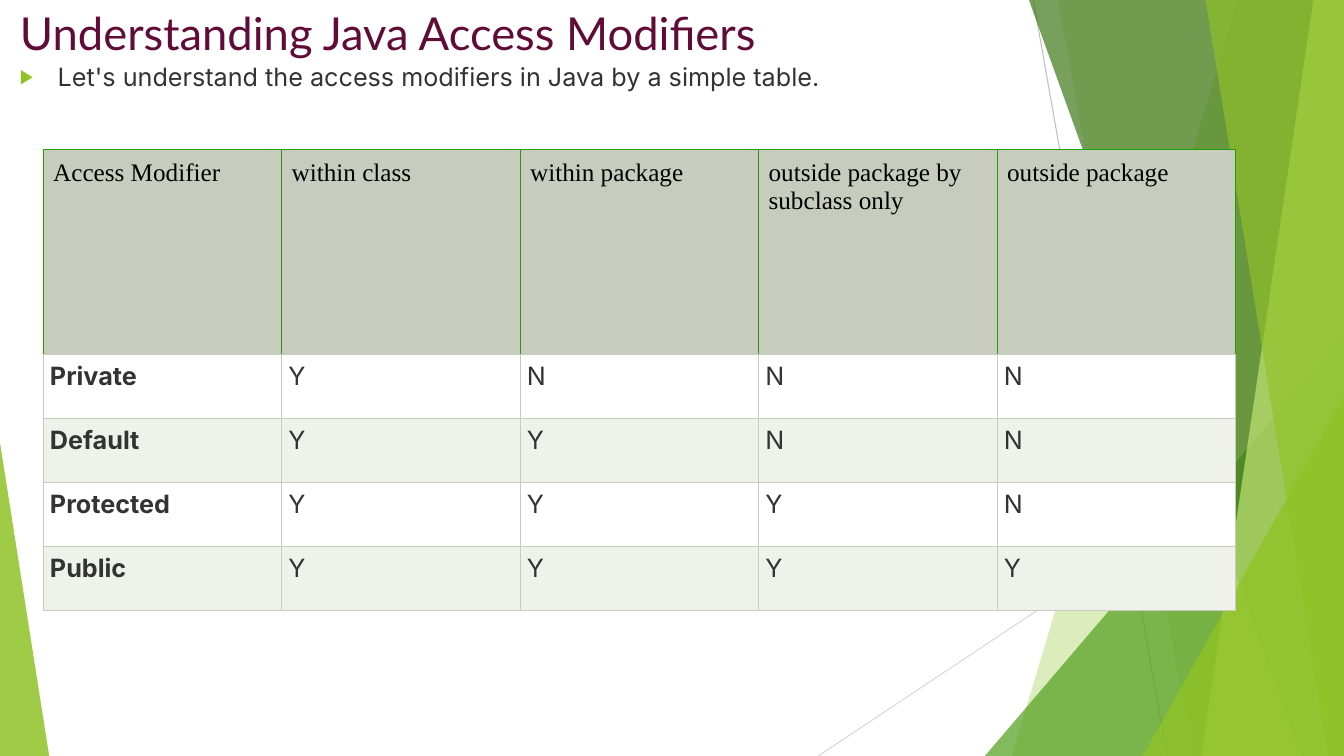
from lxml.etree import SubElement
from pptx import Presentation
from pptx.dml.color import RGBColor
from pptx.enum.shapes import MSO_CONNECTOR as Connector, MSO_SHAPE as Shape
from pptx.enum.text import MSO_ANCHOR as Anchor, MSO_AUTO_SIZE as AutoSize, PP_ALIGN as Align
from pptx.oxml.ns import qn
from pptx.util import Cm, Pt

WIDTH, HEIGHT = 33.87, 19.05
LIME, INK, SAGE, GREEN = "90C226", "333333", "C7CCBE", "20A103"
HEADINGS = ["Access Modifier", "within class", "within package",
            "outside package by subclass only", "outside package"]
MODIFIERS = [("Private", "YNNN"), ("Default", "YYNN"),
             ("Protected", "YYYN"), ("Public", "YYYY")]


def color(value):
    return RGBColor.from_string(value)


def set_font(para, name, size, value, bold=False):
    para.font.name, para.font.size, para.font.bold = name, Pt(size), bold
    para.font.color.rgb = color(value)


def paint(shape, value, opacity):
    """Fill a shape without outline; opacity is in percent."""
    shape.shadow.inherit = False
    shape.line.fill.background()
    shape.fill.solid()
    shape.fill.fore_color.rgb = color(value)
    tint = shape.element.spPr.find(qn("a:solidFill"))[0]
    SubElement(tint, qn("a:alpha"), val=str(opacity * 1000))


def add_hairline(slide, start, end, value):
    line = slide.shapes.add_connector(Connector.STRAIGHT, *map(Cm, start + end))
    line.line.color.rgb = color(value)
    line.line.width = Pt(0.75)
    SubElement(line.element.spPr, qn("a:effectLst"))


def add_facet(slide, top, bottom, value, opacity):
    """Fill from a slanted left edge to the right side of the slide."""
    outline = slide.shapes.build_freeform(Cm(top), 0)
    corners = [(WIDTH, 0), (WIDTH, HEIGHT), (bottom, HEIGHT)]
    outline.add_line_segments([(Cm(x), Cm(y)) for x, y in corners], close=True)
    paint(outline.convert_to_shape(), value, opacity)


def add_triangle(slide, left, top, width, apex, value, opacity):
    """Stand a triangle on the bottom of the slide; apex runs from 0 (left) to 1 (right)."""
    triangle = slide.shapes.add_shape(Shape.ISOSCELES_TRIANGLE, Cm(left), Cm(top),
                                      Cm(width), Cm(HEIGHT - top))
    triangle.adjustments[0] = apex
    paint(triangle, value, opacity)


def add_backdrop(slide):
    add_hairline(slide, (26.04, 0), (29.41, HEIGHT), "BFBFBF")
    add_hairline(slide, (WIDTH, 10.24), (20.62, HEIGHT), "D9D9D9")
    add_facet(slide, 31.19, 25.5, LIME, 30)
    add_facet(slide, 26.67, 30.05, LIME, 20)
    add_triangle(slide, 24.82, 8.46, 9.05, 1, "54A021", 72)
    add_facet(slide, 25.93, 32.79, "3F7819", 70)
    add_facet(slide, 33.1, 30.28, "C0E474", 70)
    add_facet(slide, 30.38, 33.48, LIME, 65)
    add_triangle(slide, 28.8, 9.98, 5.07, 1, LIME, 80)
    add_triangle(slide, 0, 11.15, 1.24, 0, LIME, 85)


def fill_placeholder(holder, box, text, align):
    """Move a placeholder to the box, above the backdrop, and return its paragraph."""
    holder.left, holder.top, holder.width, holder.height = map(Cm, box)
    holder.element.getparent().append(holder.element)
    frame = holder.text_frame
    frame.text = text
    frame.word_wrap, frame.auto_size = True, AutoSize.NONE
    frame.vertical_anchor = Anchor.TOP
    para = frame.paragraphs[0]
    para.alignment, para.space_before = align, Pt(0)
    return para


def add_title(slide, box):
    para = fill_placeholder(slide.shapes.title, box,
                            "Understanding Java Access Modifiers", Align.LEFT)
    set_font(para, "Lato", 32.4, "610B38")


def add_introduction(slide, box):
    para = fill_placeholder(slide.placeholders[1], box,
                            "Let's understand the access modifiers in Java by a simple table.",
                            Align.JUSTIFY)
    properties = para._p.get_or_add_pPr()
    properties.set("marL", str(Cm(0.95)))
    properties.set("indent", str(Cm(-0.95)))
    SubElement(SubElement(properties, qn("a:buClr")), qn("a:srgbClr"), val=LIME)
    SubElement(properties, qn("a:buSzPct"), val="80000")
    SubElement(properties, qn("a:buFont"), typeface="Arial")
    SubElement(properties, qn("a:buChar"), char="▶")
    set_font(para, "Inter", 18, INK)


def style_cell(cell, text, margin, fill, edge):
    """Write a cell; edge colours its left, right and top, the bottom is always sage."""
    cell.text = text
    cell.margin_left = cell.margin_right = cell.margin_top = cell.margin_bottom = Cm(margin)
    properties = cell._tc.get_or_add_tcPr()
    for side, value in zip("LRTB", (edge, edge, edge, SAGE)):
        border = SubElement(properties, qn(f"a:ln{side}"), w=str(Pt(0.6)))
        SubElement(SubElement(border, qn("a:solidFill")), qn("a:srgbClr"), val=value)
    cell.fill.solid()
    cell.fill.fore_color.rgb = color(fill)
    return cell.text_frame.paragraphs[0]


def add_access_table(slide, box):
    left, top, width, height = box
    header_height = 5.18
    table = slide.shapes.add_table(len(MODIFIERS) + 1, len(HEADINGS), *map(Cm, box)).table
    table.first_row = table.horz_banding = False
    for column in table.columns:
        column.width = Cm(width / len(HEADINGS))
    for row in table.rows:
        row.height = Cm((height - header_height) / len(MODIFIERS))
    table.rows[0].height = Cm(header_height)
    for index, heading in enumerate(HEADINGS):
        para = style_cell(table.cell(0, index), heading, 0.25, SAGE, GREEN)
        set_font(para, "Times New Roman", 18, "000000")
    for number, (modifier, answers) in enumerate(MODIFIERS, 1):
        fill = "FFFFFF" if number % 2 else "EFF1EB"
        for index, text in enumerate([modifier, *answers]):
            para = style_cell(table.cell(number, index), text, 0.17, fill, SAGE)
            para.alignment = Align.JUSTIFY
            set_font(para, "Inter", 18, INK, bold=index == 0)


def main():
    deck = Presentation()
    deck.slide_width, deck.slide_height = Cm(WIDTH), Cm(HEIGHT)
    slide = deck.slides.add_slide(deck.slide_layouts[1])
    add_backdrop(slide)
    add_title(slide, (0.25, 0, 25.5, 1.42))
    add_introduction(slide, (0.25, 1.42, 33.6, 16.71))
    add_access_table(slide, (1.09, 3.76, 30.05, 11.62))
    deck.save("out.pptx")


if __name__ == "__main__":
    main()
